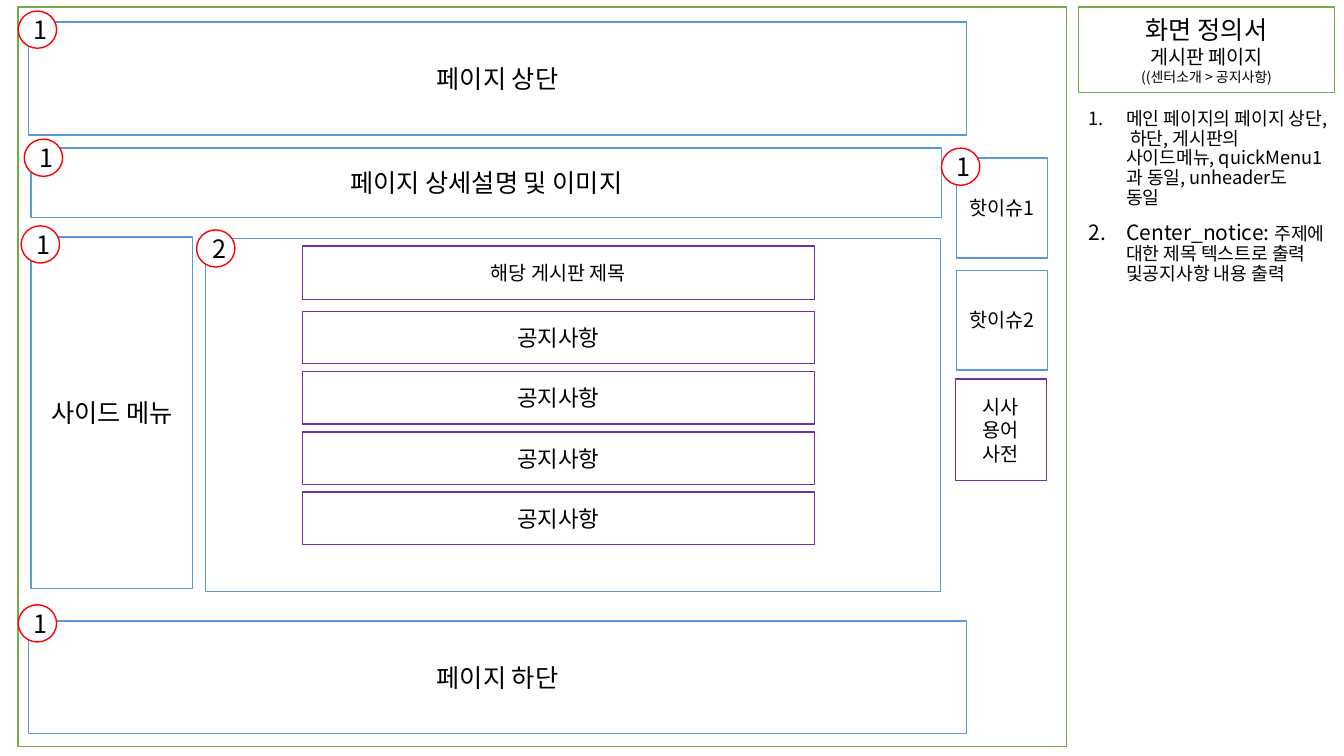
import pptx
import pptx.dml.color
import pptx.enum.shapes
import pptx.enum.text
import pptx.oxml
import pptx.oxml.ns
import pptx.util

Pt = pptx.util.Pt
Shape = pptx.enum.shapes.MSO_SHAPE
Align = pptx.enum.text.PP_ALIGN
Anchor = pptx.enum.text.MSO_ANCHOR

# Content: all lengths in points
FONT = "Noto Sans CJK KR"
GREEN, BLUE, PURPLE, RED = "70AD47", "5B9BD5", "7030A0", "FF0000"
BLACK, WHITE = "000000", "FFFFFF"

HEADING = [("화면 정의서", 18), ("게시판 페이지", 14), ("((센터소개 > 공지사항)", 10)]
HEADING_AREA = (770.4, 5, 182.9, 61.2)

NOTES = [
    [("메인 페이지의 페이지 상단, 하단, 게시판의 사이드메뉴, quickMenu1과 동일, unheader도 동일", 13)],
    [("Center_notice: ", 15), ("주제에 대한 제목 텍스트로 출력 및공지사항 내용 출력", 13)],
]
NOTES_AREA = (770.4, 74.9, 182.9, 448.6)
NOTE_INDENT = 27

# Text, size, line colour, (left, top, width, height)
BLOCKS = [
    ("", 18, GREEN, (13, 5, 748.8, 528.5)),
    ("페이지 상단", 18, BLUE, (20.2, 15.8, 670.3, 80.6)),
    ("페이지 상세설명 및 이미지", 18, BLUE, (22.3, 105.8, 650.2, 49.7)),
    ("사이드 메뉴", 18, BLUE, (22.3, 169.2, 115.2, 251.3)),
    ("", 18, BLUE, (146.9, 170.6, 524.9, 252)),
    ("페이지 하단", 18, BLUE, (20.2, 443.5, 670.3, 80.6)),
    ("핫이슈1", 14, BLUE, (683.3, 113, 64.8, 71.3)),
    ("핫이슈2", 14, BLUE, (683.3, 193, 64.8, 71.3)),
    ("시사 용어 사전", 14, PURPLE, (682.6, 270.7, 64.8, 72.7)),
    ("해당 게시판 제목", 14, PURPLE, (216, 175.7, 365.8, 38.2)),
]

NOTICE, NOTICE_COUNT = "공지사항", 4
NOTICE_LEFT, NOTICE_TOP, NOTICE_STEP = 216, 222.5, 43
NOTICE_SIZE = (365.8, 37.4)

# Number, left, top
BADGES = [
    ("1", 13, 7.9), ("1", 17.3, 99.4), ("1", 672.5, 105.8),
    ("1", 15.1, 161.3), ("2", 140.4, 164.2), ("1", 13, 432),
]
BADGE_SIZE = (27.4, 26.6)


def color(value):
    return pptx.dml.color.RGBColor.from_string(value)


def apply(target, settings):
    for name, value in settings.items():
        setattr(target, name, value)


def place(shape, area):
    lengths = [Pt(length) for length in area]
    apply(shape, dict(zip(("left", "top", "width", "height"), lengths)))


def outline(shape, line_color):
    shape.fill.solid()
    shape.fill.fore_color.rgb = color(WHITE)
    shape.line.color.rgb = color(line_color)
    shape.line.width = Pt(1)


def add_span(para, text, size):
    span = para.add_run()
    span.text = text
    apply(span.font, {"size": Pt(size), "name": FONT})
    span.font.color.rgb = color(BLACK)
    # East Asian typeface for the Korean glyphs
    east = pptx.oxml.parse_xml(
        f'<a:ea {pptx.oxml.ns.nsdecls("a")} typeface="{FONT}"/>')
    span.font._element.append(east)


def get_para(frame, index):
    return frame.paragraphs[0] if index == 0 else frame.add_paragraph()


def write_centered(shape, lines):
    frame = shape.text_frame
    apply(frame, {"word_wrap": True, "vertical_anchor": Anchor.MIDDLE,
                  "auto_size": pptx.enum.text.MSO_AUTO_SIZE.NONE})
    for index, (text, size) in enumerate(lines):
        para = get_para(frame, index)
        para.alignment = Align.CENTER
        add_span(para, text, size)


def add_block(page, kind, text, size, line_color, area):
    block = page.shapes.add_shape(kind, *[Pt(length) for length in area])
    block.shadow.inherit = False
    outline(block, line_color)
    if text:
        write_centered(block, [(text, size)])


def add_notes(page):
    box = page.shapes.add_textbox(*[Pt(length) for length in NOTES_AREA])
    box.text_frame.word_wrap = True
    for index, spans in enumerate(NOTES):
        para = get_para(box.text_frame, index)
        properties = para._p.get_or_add_pPr()
        properties.set("marL", str(Pt(NOTE_INDENT)))
        properties.set("indent", str(-Pt(NOTE_INDENT)))
        properties.append(pptx.oxml.parse_xml(
            f'<a:buAutoNum {pptx.oxml.ns.nsdecls("a")} type="arabicPeriod"/>'))
        apply(para, {"line_spacing": 0.9, "space_before": Pt(10 if index else 0)})
        for text, size in spans:
            add_span(para, text, size)


def main():
    deck = pptx.Presentation()
    apply(deck, {"slide_width": Pt(960), "slide_height": Pt(540)})
    page = deck.slides.add_slide(deck.slide_layouts[5])

    # Heading and notes on the right
    title = page.shapes.title
    place(title, HEADING_AREA)
    outline(title, GREEN)
    write_centered(title, HEADING)
    add_notes(page)

    # Page wireframe
    for text, size, line_color, area in BLOCKS:
        add_block(page, Shape.RECTANGLE, text, size, line_color, area)
    for row in range(NOTICE_COUNT):
        area = (NOTICE_LEFT, NOTICE_TOP + row * NOTICE_STEP, *NOTICE_SIZE)
        add_block(page, Shape.RECTANGLE, NOTICE, 16, PURPLE, area)

    # Numbered badges
    for number, left, top in BADGES:
        area = (left, top, *BADGE_SIZE)
        add_block(page, Shape.FLOWCHART_CONNECTOR, number, 18, RED, area)

    deck.save("out.pptx")


if __name__ == "__main__":
    main()
